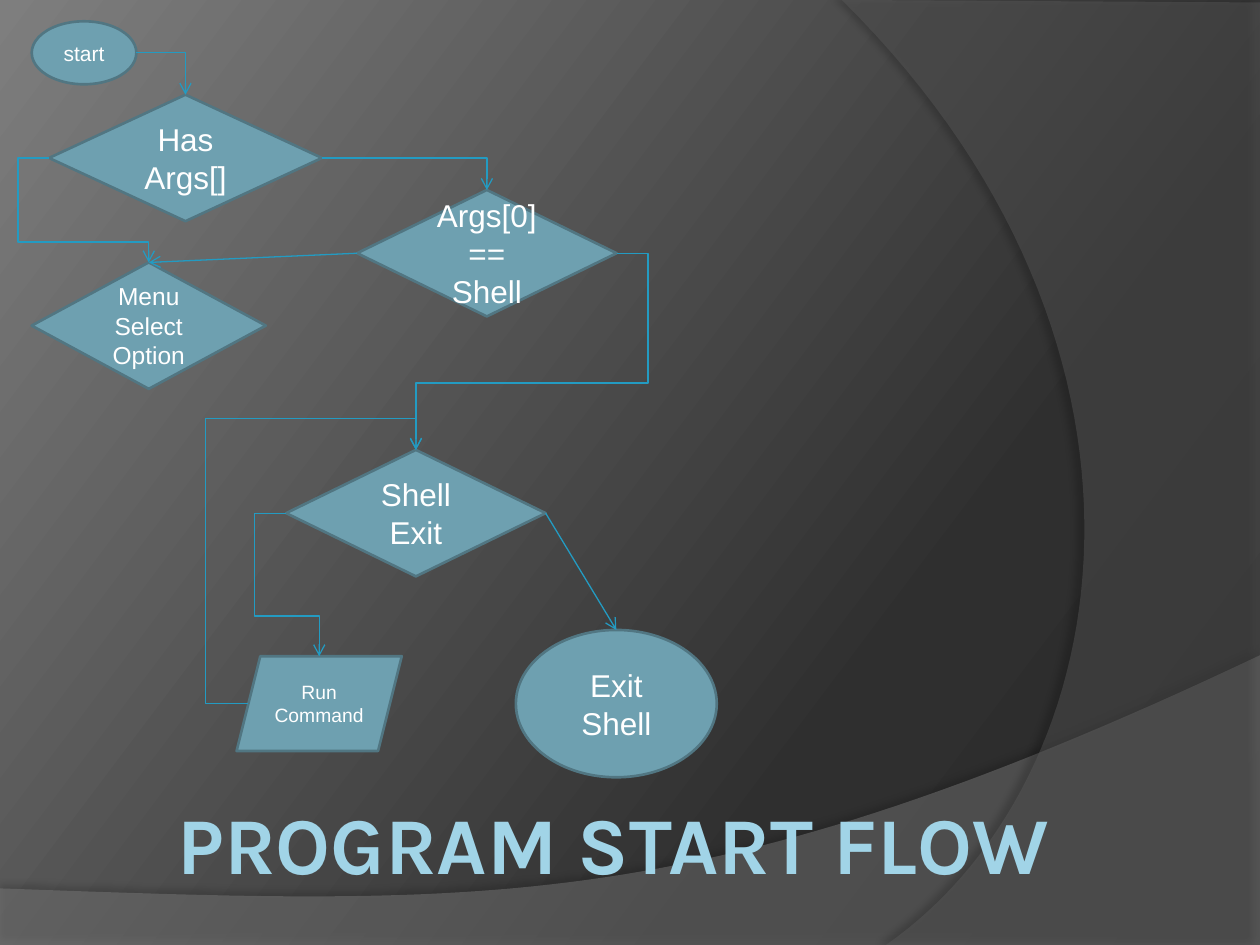
from lxml.etree import SubElement
from pptx import Presentation
from pptx.dml.color import RGBColor
from pptx.enum.shapes import MSO_CONNECTOR, MSO_SHAPE
from pptx.enum.text import MSO_ANCHOR, PP_ALIGN
from pptx.oxml.ns import qn
from pptx.util import Cm, Pt

COLORS = {
    "wave": "7F7F7F", "arc": "5E5E5E", "shadow": "000000",
    "node": "6EA0B0", "border": "517682", "text": "FFFFFF",
    "link": "239BC2", "title_edge": "5DD4FF",
}
BACK_STOPS = [(0, "282828"), (30, "2F2F2F"), (100, "7E7E7E")]
TITLE_STOPS = [(0, "A1D4E7"), (9, "A1D4E7"), (53, "58808D"),
               (90, "A1D4E7"), (100, "A1D4E7")]


def add_xml(parent, tag, **attrs):
    return SubElement(parent, qn(tag), {k: str(v) for k, v in attrs.items()})


def set_gradient(fill, root, stops, angle):
    fill.gradient()
    grad = root.find(".//" + qn("a:gradFill"))
    gs_list = grad.find(qn("a:gsLst"))
    for old in list(gs_list):
        gs_list.remove(old)
    for pos, color in stops:
        gs = add_xml(gs_list, "a:gs", pos=pos * 1000)
        add_xml(gs, "a:srgbClr", val=color)
    grad.find(qn("a:lin")).set("ang", str(angle * 60000))


prs = Presentation()
prs.slide_width, prs.slide_height = Cm(25.4), Cm(19.05)
s = prs.slides.add_slide(prs.slide_layouts[0])
subtitle = s.placeholders[1]._element
subtitle.getparent().remove(subtitle)

# Background
set_gradient(s.background.fill, s._element, BACK_STOPS, 217)

# Decorative swooshes: straight corners, then one cubic curve from the last corner
# colour, opacity %, corners, curve points, shadow opacity %, distance, direction
swooshes = [
    ("wave", 45, [(0, 17.91), (0, 19.05), (25.4, 19.05), (25.4, 13.21)],
     [(14.2, 18.52), (9.93, 18.26), (0, 17.91)], 35, 3.5, 270),
    ("arc", 40, [(25.4, 0.05), (25.4, 19.05), (17.86, 19.05)],
     [(22.63, 15.72), (24.05, 6.99), (16.97, 0)], 45, 4, 180),
]
STEPS = 60
for color, opacity, corners, curve, shade, dist, direction in swooshes:
    points = list(corners)
    bezier = [corners[-1]] + curve
    for t in (i / STEPS for i in range(1, STEPS + 1)):
        weights = ((1 - t) ** 3, 3 * t * (1 - t) ** 2, 3 * t * t * (1 - t), t ** 3)
        points.append(tuple(sum(w * pt[axis] for w, pt in zip(weights, bezier))
                            for axis in (0, 1)))
    points = [(Cm(x), Cm(y)) for x, y in points]
    fb = s.shapes.build_freeform(*points[0])
    fb.add_line_segments(points[1:], close=True)
    sp = fb.convert_to_shape()
    sp.fill.solid()
    sp.fill.fore_color.rgb = RGBColor.from_string(COLORS[color])
    sp.line.fill.background()
    spPr = sp._element.spPr
    add_xml(spPr.find(".//" + qn("a:srgbClr")), "a:alpha", val=opacity * 1000)
    shadow = add_xml(add_xml(spPr, "a:effectLst"), "a:outerShdw", blurRad=Pt(4),
                     dist=Pt(dist), dir=direction * 60000, rotWithShape=0)
    add_xml(add_xml(shadow, "a:srgbClr", val=COLORS["shadow"]),
            "a:alpha", val=shade * 1000)

# Flow nodes: shape, text, size, left, top, width, height
DECISION = MSO_SHAPE.FLOWCHART_DECISION
nodes = {
    "start": (MSO_SHAPE.OVAL, "start", 12, 0.64, 0.43, 2.11, 1.27),
    "menu": (DECISION, "Menu Select Option", 14, 0.64, 5.29, 4.72, 2.55),
    "has_args": (DECISION, "Has Args[]", 18, 0.99, 1.91, 5.5, 2.55),
    "is_shell": (DECISION, "Args[0]== Shell", 18, 7.2, 3.83, 5.23, 2.55),
    "shell_exit": (DECISION, "Shell Exit", 18, 5.77, 9.07, 5.23, 2.55),
    "exit": (MSO_SHAPE.OVAL, "Exit Shell", 18, 10.4, 12.7, 4.05, 2.97),
    "run": (MSO_SHAPE.PARALLELOGRAM, "Run Command", 11, 4.77, 13.23, 3.33, 1.91),
}
for kind, text, size, *box in nodes.values():
    sp = s.shapes.add_shape(kind, *map(Cm, box))
    sp.shadow.inherit = False
    sp.fill.solid()
    sp.fill.fore_color.rgb = RGBColor.from_string(COLORS["node"])
    sp.line.color.rgb = RGBColor.from_string(COLORS["border"])
    sp.line.width = Pt(1.5)
    tf = sp.text_frame
    tf.word_wrap = True
    tf.vertical_anchor = MSO_ANCHOR.MIDDLE
    p = tf.paragraphs[0]
    p.alignment = PP_ALIGN.CENTER
    r = p.add_run()
    r.text = text
    for name, value in {"size": Pt(size), "name": "Arial"}.items():
        setattr(r.font, name, value)
    r.font.color.rgb = RGBColor.from_string(COLORS["text"])

# Links run from a node's side to the top of the next one.
# Route: None = straight, () = one corner, (x, y) = detour column and row
links = [
    ("start", "right", "has_args", ()),
    ("has_args", "left", "menu", (0.36, 4.88)),
    ("has_args", "right", "is_shell", ()),
    ("is_shell", "left", "menu", None),
    ("is_shell", "right", "shell_exit", (13.06, 7.72)),
    ("shell_exit", "right", "exit", None),
    ("shell_exit", "left", "run", (5.13, 12.42)),
    ("run", "left", "shell_exit", (4.14, 8.43)),
]
for source, side, target, route in links:
    kind, _, _, left, top, width, height = nodes[source]
    slant = height / 8 if kind == MSO_SHAPE.PARALLELOGRAM else 0
    x1 = left + width - slant if side == "right" else left + slant
    y1 = top + height / 2
    _, _, _, left, y2, width, _ = nodes[target]
    x2 = left + width / 2
    style = MSO_CONNECTOR.STRAIGHT if route is None else MSO_CONNECTOR.ELBOW
    cxn = s.shapes.add_connector(style, *map(Cm, (x1, y1, x2, y2)))
    cxn.line.color.rgb = RGBColor.from_string(COLORS["link"])
    cxn.line.width = Pt(0.75)
    spPr = cxn._element.spPr
    add_xml(spPr.find(qn("a:ln")), "a:tailEnd", type="arrow")
    add_xml(spPr, "a:effectLst")
    if route is not None:
        geom = spPr.find(qn("a:prstGeom"))
        geom.set("prst", "bentConnector4" if route else "bentConnector2")
        guides = geom.find(qn("a:avLst"))
        for i, (a, via, b) in enumerate(zip((x1, y1), route, (x2, y2)), 1):
            ratio = round((via - a) / (b - a) * 100000)
            add_xml(guides, "a:gd", name=f"adj{i}", fmla=f"val {ratio}")

# Title, in front of the swooshes
title = s.shapes.title
title._element.getparent().append(title._element)
for name, value in {"left": 3.25, "top": 15.88, "width": 18.01, "height": 2.59}.items():
    setattr(title, name, Cm(value))
tf = title.text_frame
for name in ("margin_left", "margin_top", "margin_right", "margin_bottom"):
    setattr(tf, name, Cm(0.13))
tf.vertical_anchor = MSO_ANCHOR.TOP
p = tf.paragraphs[0]
p.alignment = PP_ALIGN.RIGHT
r = p.add_run()
r.text = "PROGRAM START FLOW"
for name, value in {"size": Pt(46), "name": "Karla", "bold": True}.items():
    setattr(r.font, name, value)
set_gradient(r.font.fill, r._r, TITLE_STOPS, 90)
rPr = r._r.get_or_add_rPr()
edge = add_xml(rPr, "a:ln", w=Pt(0.39))
add_xml(add_xml(edge, "a:solidFill"), "a:srgbClr", val=COLORS["title_edge"])
rPr.insert(0, edge)

prs.save("out.pptx")
